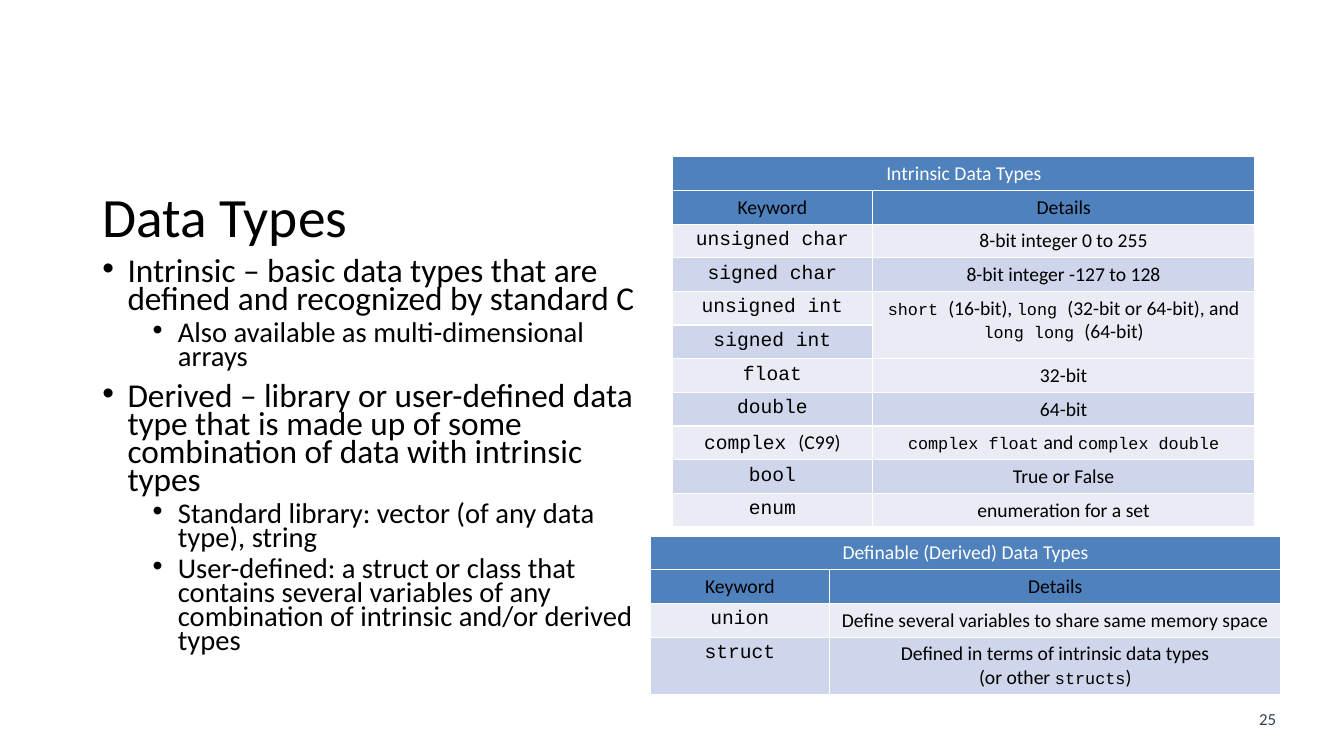
from dataclasses import dataclass

from lxml import etree
from pptx import Presentation
from pptx.dml.color import RGBColor
from pptx.enum.text import MSO_ANCHOR, PP_ALIGN
from pptx.oxml.ns import qn
from pptx.util import Pt

TITLE = "Data Types"
PAGE_NUMBER = "25"
BULLETS = [
    (0, "Intrinsic – basic data types that are defined and recognized by standard C"),
    (1, "Also available as multi-dimensional arrays"),
    (0, "Derived – library or user-defined data type that is made up of some "
        "combination of data with intrinsic types"),
    (1, "Standard library: vector (of any data type), string"),
    (1, "User-defined: a struct or class that contains several variables of any "
        "combination of intrinsic and/or derived types"),
]
# Backticks enclose code; None continues the cell above.
INTRINSIC_TYPES = [
    ("Intrinsic Data Types", None),
    ("Keyword", "Details"),
    ("`unsigned char`", "8-bit integer 0 to 255"),
    ("`signed char`", "8-bit integer -127 to 128"),
    ("`unsigned int`", "`short `(16-bit), `long `(32-bit or 64-bit), and `long long `(64-bit)"),
    ("`signed int`", None),
    ("`float`", "32-bit"),
    ("`double`", "64-bit"),
    ("`complex `(C99)", "`complex float` and `complex double`"),
    ("`bool`", "True or False"),
    ("`enum`", "enumeration for a set"),
]
DERIVED_TYPES = [
    ("Definable (Derived) Data Types", None),
    ("Keyword", "Details"),
    ("`union`", "Define several variables to share same memory space"),
    ("`struct`", "Defined in terms of intrinsic data types\n(or other `structs`)"),
]


@dataclass(frozen=True)
class Theme:
    font: str = "Calibri"
    code_font: str = "Courier New"
    text: str = "000000"
    page: str = "333F50"
    header: str = "4F81BD"
    bands: tuple = ("E9EBF5", "CFD5EA")
    white: str = "FFFFFF"
    title_size: float = 39.6
    bullet_sizes: tuple = (23.8, 20.4)
    table_size: float = 14
    small_size: float = 12


THEME = Theme()
ROW_HEIGHT = 23


def style_run(run, size, color, font=THEME.font):
    run.font.name = font
    run.font.size = Pt(size)
    run.font.color.rgb = RGBColor.from_string(color)


def add_text(slide, box, text, size, color):
    shape = slide.shapes.add_textbox(*map(Pt, box))
    shape.text_frame.word_wrap = True
    shape.text_frame.text = text
    for paragraph in shape.text_frame.paragraphs:
        style_run(paragraph.runs[0], size, color)
    return shape.text_frame


def add_bullets(slide, box):
    frame = slide.shapes.add_textbox(*map(Pt, box)).text_frame
    frame.word_wrap = True
    frame.text = "\n".join(text for _, text in BULLETS)
    for index, (paragraph, (level, _)) in enumerate(zip(frame.paragraphs, BULLETS)):
        properties = paragraph._p.get_or_add_pPr()
        properties.set("marL", str(Pt(18 + 36 * level)))
        properties.set("indent", str(-Pt(18)))
        etree.SubElement(properties, qn("a:buFont"), typeface="Arial")
        etree.SubElement(properties, qn("a:buChar"), char="•")
        paragraph.level = level
        paragraph.line_spacing = 0.7
        if index:
            paragraph.space_before = Pt(5 if level else 10)
        style_run(paragraph.runs[0], THEME.bullet_sizes[level], THEME.text)


def set_borders(cell):
    properties = cell._tc.get_or_add_tcPr()
    for index, side in enumerate(("a:lnL", "a:lnR", "a:lnT", "a:lnB")):
        line = etree.Element(qn(side), w=str(Pt(1)))
        fill = etree.SubElement(line, qn("a:solidFill"))
        etree.SubElement(fill, qn("a:srgbClr"), val=THEME.white)
        properties.insert(index, line)


def fill_cell(cell, content, color, code_size):
    frame = cell.text_frame
    for index, line in enumerate(content.split("\n")):
        paragraph = frame.add_paragraph() if index else frame.paragraphs[0]
        paragraph.alignment = PP_ALIGN.CENTER
        for position, part in enumerate(line.split("`")):
            if not part:
                continue
            run = paragraph.add_run()
            run.text = part
            if position % 2:
                style_run(run, code_size, color, THEME.code_font)
            else:
                style_run(run, THEME.table_size, color)


def add_type_table(slide, left, top, widths, rows):
    table = slide.shapes.add_table(
        len(rows), len(widths), Pt(left), Pt(top),
        Pt(sum(widths)), Pt(ROW_HEIGHT * len(rows))).table
    for column, width in zip(table.columns, widths):
        column.width = Pt(width)
    for row_index, row in enumerate(rows):
        table.rows[row_index].height = Pt(ROW_HEIGHT)
        background = THEME.header if row_index < 2 else THEME.bands[row_index % 2]
        color = THEME.text if row_index else THEME.white
        for column_index, content in enumerate(row):
            cell = table.cell(row_index, column_index)
            cell.fill.solid()
            cell.fill.fore_color.rgb = RGBColor.from_string(background)
            set_borders(cell)
            if content is not None:
                code_size = THEME.small_size if column_index else THEME.table_size
                fill_cell(cell, content, color, code_size)
            elif row_index:
                table.cell(row_index - 1, column_index).merge(cell)
            else:
                table.cell(0, 0).merge(cell)


def main():
    presentation = Presentation()
    presentation.slide_width, presentation.slide_height = Pt(960), Pt(540)
    slide = presentation.slides.add_slide(presentation.slide_layouts[6])

    page = add_text(slide, (888.5, 502.5, 34, 21.6), PAGE_NUMBER, THEME.small_size, THEME.page)
    page.paragraphs[0].alignment = PP_ALIGN.CENTER
    title = add_text(slide, (66, 132, 828, 50), TITLE, THEME.title_size, THEME.text)
    title.vertical_anchor = MSO_ANCHOR.MIDDLE
    title.paragraphs[0].line_spacing = 0.9
    add_bullets(slide, (66, 182, 398, 314))
    add_type_table(slide, 480.5, 112, (142.5, 273.5), INTRINSIC_TYPES)
    add_type_table(slide, 464.5, 383, (128, 322.5), DERIVED_TYPES)
    presentation.save("out.pptx")


if __name__ == "__main__":
    main()
